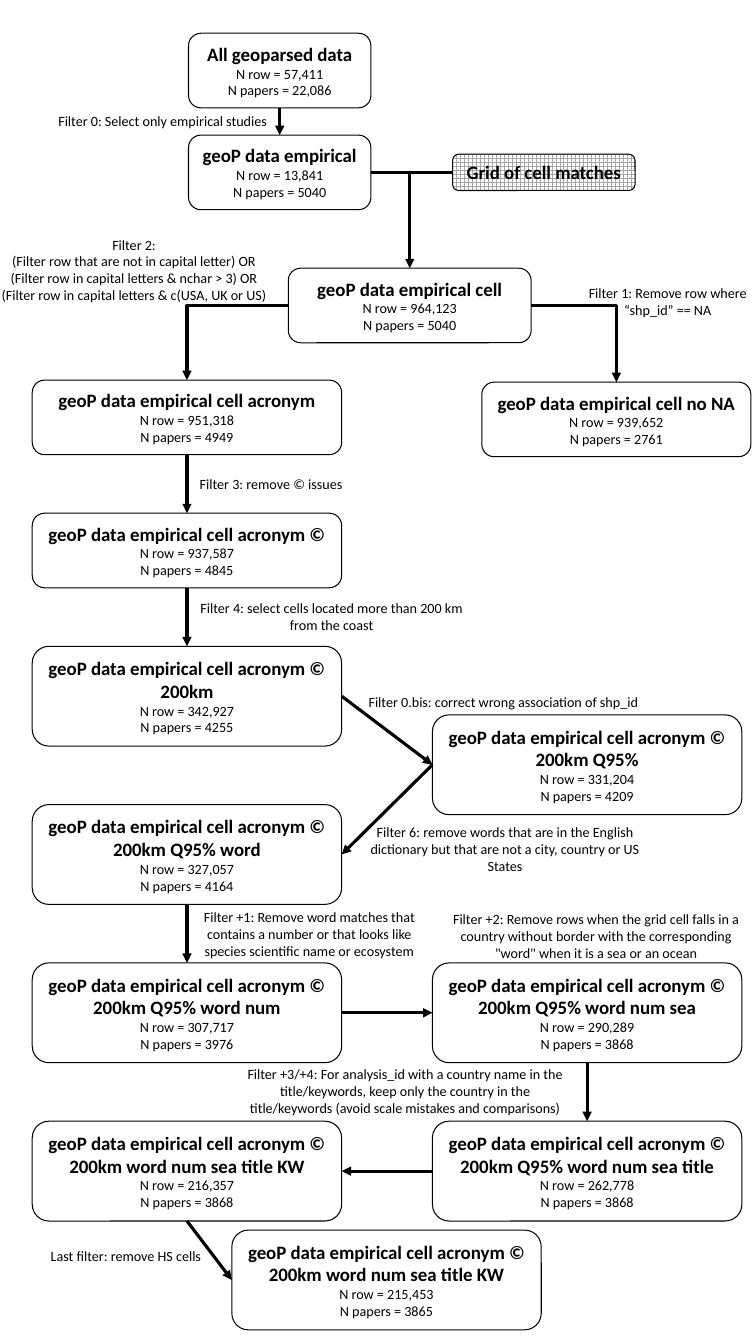
from lxml import etree
from pptx import Presentation
from pptx.dml.color import RGBColor
from pptx.enum.dml import MSO_PATTERN
from pptx.enum.shapes import MSO_CONNECTOR, MSO_SHAPE
from pptx.enum.text import MSO_ANCHOR, PP_ALIGN
from pptx.oxml.ns import qn
from pptx.util import Inches, Pt

ROUNDED = MSO_SHAPE.ROUNDED_RECTANGLE
STRAIGHT = MSO_CONNECTOR.STRAIGHT
ELBOW = MSO_CONNECTOR.ELBOW
LARGE_GRID = MSO_PATTERN.LARGE_GRID
MIDDLE = MSO_ANCHOR.MIDDLE
CENTER = PP_ALIGN.CENTER
TOP, LEFT, BOTTOM, RIGHT = range(4)

BLACK = RGBColor(0x00, 0x00, 0x00)
WHITE = RGBColor(0xFF, 0xFF, 0xFF)
GRAY = RGBColor(0xA6, 0xA6, 0xA6)

TITLE = {"name": "Calibri", "size": Pt(13.5), "bold": True}
BODY = {"name": "Calibri", "size": Pt(10.1), "bold": False}

LOW, TALL = 0.74, 0.99
NARROW, WIDE = 1.81, 3.07
COLUMN_START, COLUMN_STEP = 0.32, 3.97
SHORT_START, SHORT_STEP = 3.77, 1.32
TALL_START, TALL_STEP = 6.41, 1.57


def column(index):
    return COLUMN_START + index * COLUMN_STEP


def short_row(index):
    return SHORT_START + index * SHORT_STEP


def tall_row(index):
    return TALL_START + index * TALL_STEP


ACRONYM = "geoP data empirical cell acronym"
KM = f"{ACRONYM} © 200km"

BOXES = {
    "all": ("All geoparsed data", "57,411", "22,086", 1.87, 0.33, NARROW, LOW),
    "empirical": ("geoP data empirical", "13,841", "5040", 1.87, 1.34, NARROW, LOW),
    "cell": ("geoP data empirical cell", "964,123", "5040", 2.86, 2.66, 2.41, LOW),
    "no_na": ("geoP data empirical cell no NA", "939,652", "2761", 4.78, 3.79, 2.67, LOW),
    "acronym": (ACRONYM, "951,318", "4949", column(0), short_row(0), WIDE, LOW),
    "issues": (f"{ACRONYM} ©", "937,587", "4845", column(0), short_row(1), WIDE, LOW),
    "km": (KM, "342,927", "4255", column(0), tall_row(0), WIDE, TALL),
    "q95": (f"{KM} Q95%", "331,204", "4209", column(1), 7.09, WIDE, TALL),
    "word": (f"{KM} Q95% word", "327,057", "4164", column(0), tall_row(1), WIDE, TALL),
    "num": (f"{KM} Q95% word num", "307,717", "3976", column(0), tall_row(2), WIDE, TALL),
    "sea": (f"{KM} Q95% word num sea", "290,289", "3868", column(1), tall_row(2), WIDE, TALL),
    "title": (f"{KM} Q95% word num sea title", "262,778", "3868",
              column(1), tall_row(3), WIDE, TALL),
    "keywords": (f"{KM} word num sea title KW", "216,357", "3868",
                 column(0), tall_row(3), WIDE, TALL),
    "last": (f"{KM} word num sea title KW", "215,453", "3865", 2.3, 12.2, WIDE, TALL),
}

ARROWS = [
    ("all", BOTTOM, "empirical", TOP, STRAIGHT),
    ("cell", RIGHT, "no_na", TOP, ELBOW),
    ("cell", LEFT, "acronym", TOP, ELBOW),
    ("acronym", BOTTOM, "issues", TOP, STRAIGHT),
    ("issues", BOTTOM, "km", TOP, STRAIGHT),
    ("km", RIGHT, "q95", LEFT, STRAIGHT),
    ("q95", LEFT, "word", RIGHT, STRAIGHT),
    ("word", BOTTOM, "num", TOP, STRAIGHT),
    ("num", RIGHT, "sea", LEFT, STRAIGHT),
    ("sea", BOTTOM, "title", TOP, STRAIGHT),
    ("title", LEFT, "keywords", RIGHT, STRAIGHT),
    ("keywords", BOTTOM, "last", LEFT, STRAIGHT),
]

FILTERS = [
    (["Filter 2:", "(Filter row that are not in capital letter) OR",
      "(Filter row in capital letters & nchar > 3) OR",
      "(Filter row in capital letters & c(USA, UK or US)"], -0.11, 2.29, 2.88, 0.78),
    (["Filter 3: remove © issues"], 1.25, 4.67, 2.88, 0.27),
    (["Filter 4: select cells located more than 200 km from the coast"],
     1.85, 5.9, 2.88, 0.44),
    (["Filter 0.bis: correct wrong association of shp_id"], 3.46, 6.83, WIDE, 0.27),
    (["Filter 6: remove words that are in the English",
      "dictionary but that are not a city, country or US States"], 3.57, 8.12, 2.88, 0.61),
    (["Filter +1: Remove word matches that contains a number or that looks like "
      "species scientific name or ecosystem"], 1.85, 8.96, 2.44, 0.61),
    (["Filter +2: Remove rows when the grid cell falls in a country without border "
      "with the corresponding \"word\" when it is a sea or an ocean"],
     4.38, 8.98, WIDE, 0.61),
    (["Filter +3/+4: For analysis_id with a country name in the title/keywords, keep "
      "only the country in the title/keywords (avoid scale mistakes and comparisons)"],
     2.31, 10.52, 3.42, 0.61),
    (["Last filter: remove HS cells"], 0, 12.32, 2.5, 0.27),
]
UNWRAPPED_FILTERS = [
    (["Filter 0: Select only empirical studies"], 0.46, 1.07, 2.31, 0.27),
    (["Filter 1: Remove row where", "“shp_id” == NA"], 5.71, 2.77, 1.83, 0.44),
]


def write_lines(frame, lines):
    for index, (text, style) in enumerate(lines):
        para = frame.paragraphs[0] if index == 0 else frame.add_paragraph()
        para.alignment = CENTER
        span = para.add_run()
        span.text = text
        for name, value in style.items():
            setattr(span.font, name, value)
        span.font.color.rgb = BLACK


def add_box(page, lines, left, top, width, height):
    box = page.shapes.add_shape(ROUNDED, *map(Inches, (left, top, width, height)))
    box.shadow.inherit = False
    box.fill.background()
    box.line.color.rgb = BLACK
    box.line.width = Pt(0.75)
    box.text_frame.word_wrap = True
    box.text_frame.vertical_anchor = MIDDLE
    write_lines(box.text_frame, lines)
    return box


def add_data_box(page, title, rows, papers, *place):
    lines = [(title, TITLE), (f"N row = {rows}", BODY), (f"N papers = {papers}", BODY)]
    return add_box(page, lines, *place)


def add_grid_box(page):
    box = add_box(page, [("Grid of cell matches", TITLE)], 4.49, 1.53, NARROW, 0.36)
    box.fill.patterned()
    box.fill.pattern = LARGE_GRID
    box.fill.fore_color.rgb = GRAY
    box.fill.back_color.rgb = WHITE
    return box


def add_filter(page, texts, left, top, width, height, wrap=True):
    label = page.shapes.add_textbox(*map(Inches, (left, top, width, height)))
    label.text_frame.word_wrap = wrap
    write_lines(label.text_frame, [(text, BODY) for text in texts])


def add_line(page, kind=STRAIGHT, start=(0, 0), arrow=True):
    line = page.shapes.add_connector(kind, *start, *start)
    line.line.color.rgb = BLACK
    line.line.width = Pt(2.25)
    properties = line._element.spPr
    if kind == ELBOW:
        properties.find(qn("a:prstGeom")).set("prst", "bentConnector2")
    if arrow:
        etree.SubElement(properties.find(qn("a:ln")), qn("a:tailEnd"), type="triangle")
    etree.SubElement(properties, qn("a:effectLst"))
    return line


def join(line, source, source_side, target, target_side):
    line.begin_connect(source, source_side)
    line.end_connect(target, target_side)


def main():
    deck = Presentation()
    deck.slide_width, deck.slide_height = Inches(7.5), Inches(13.33)
    page = deck.slides.add_slide(deck.slide_layouts[6])

    boxes = {name: add_data_box(page, *values) for name, values in BOXES.items()}
    grid = add_grid_box(page)
    for source, source_side, target, target_side, kind in ARROWS:
        join(add_line(page, kind), boxes[source], source_side, boxes[target], target_side)

    join(add_line(page, arrow=False), boxes["empirical"], RIGHT, grid, LEFT)
    cell = boxes["cell"]
    junction = (cell.left + cell.width // 2, grid.top + grid.height // 2)
    add_line(page, start=junction).end_connect(cell, TOP)

    for values in FILTERS:
        add_filter(page, *values)
    for values in UNWRAPPED_FILTERS:
        add_filter(page, *values, wrap=False)
    deck.save("out.pptx")


if __name__ == "__main__":
    main()
